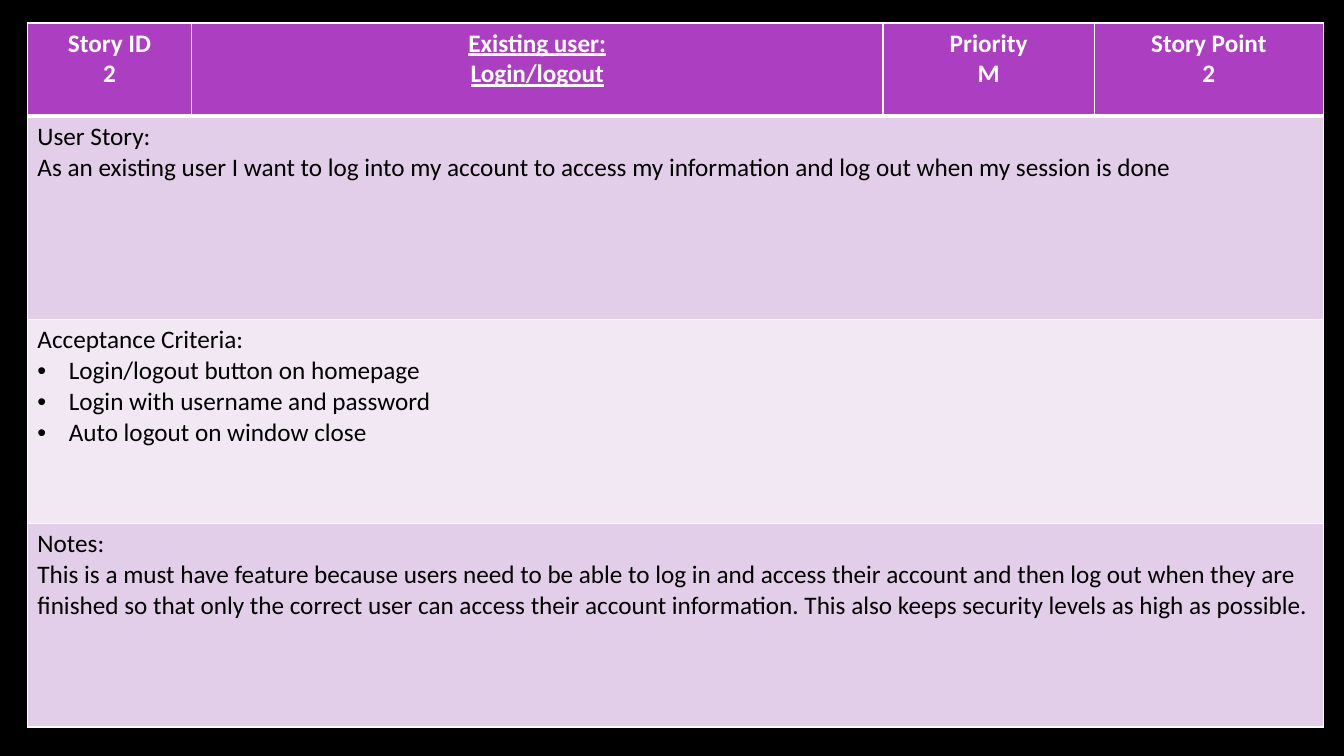
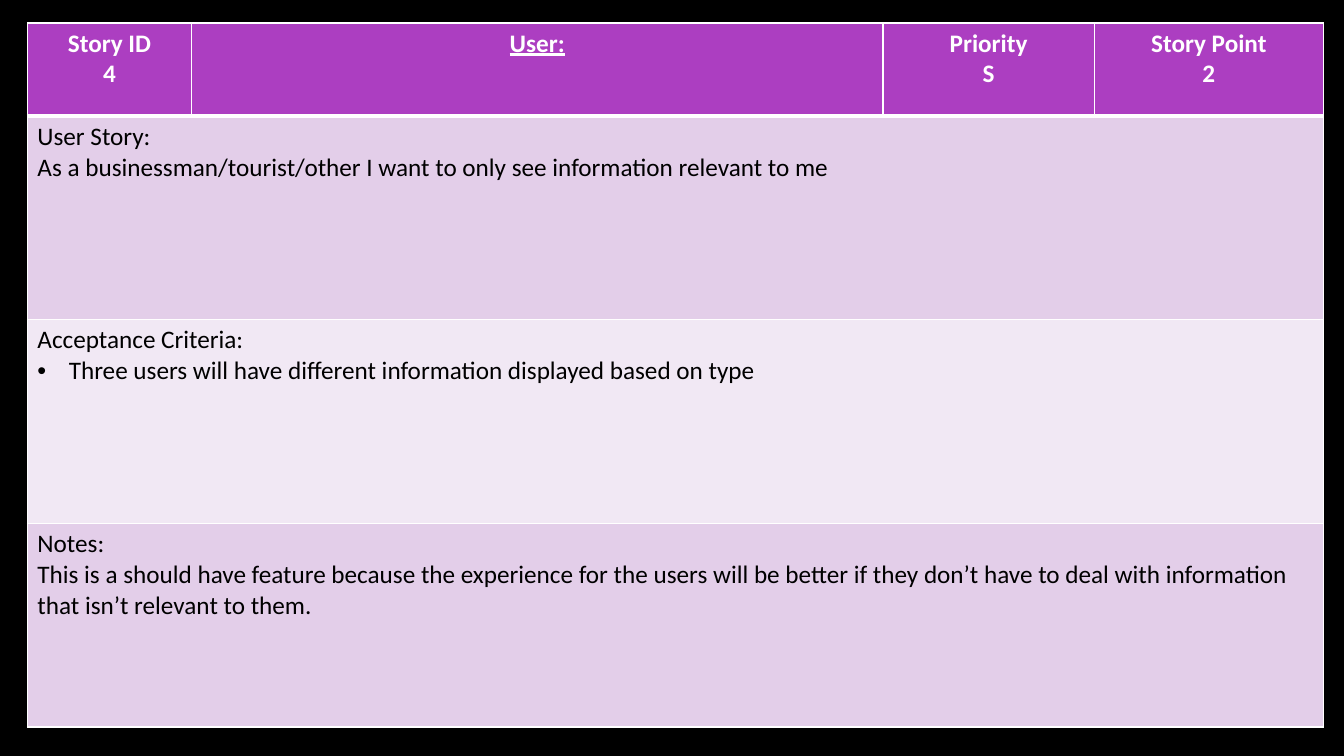
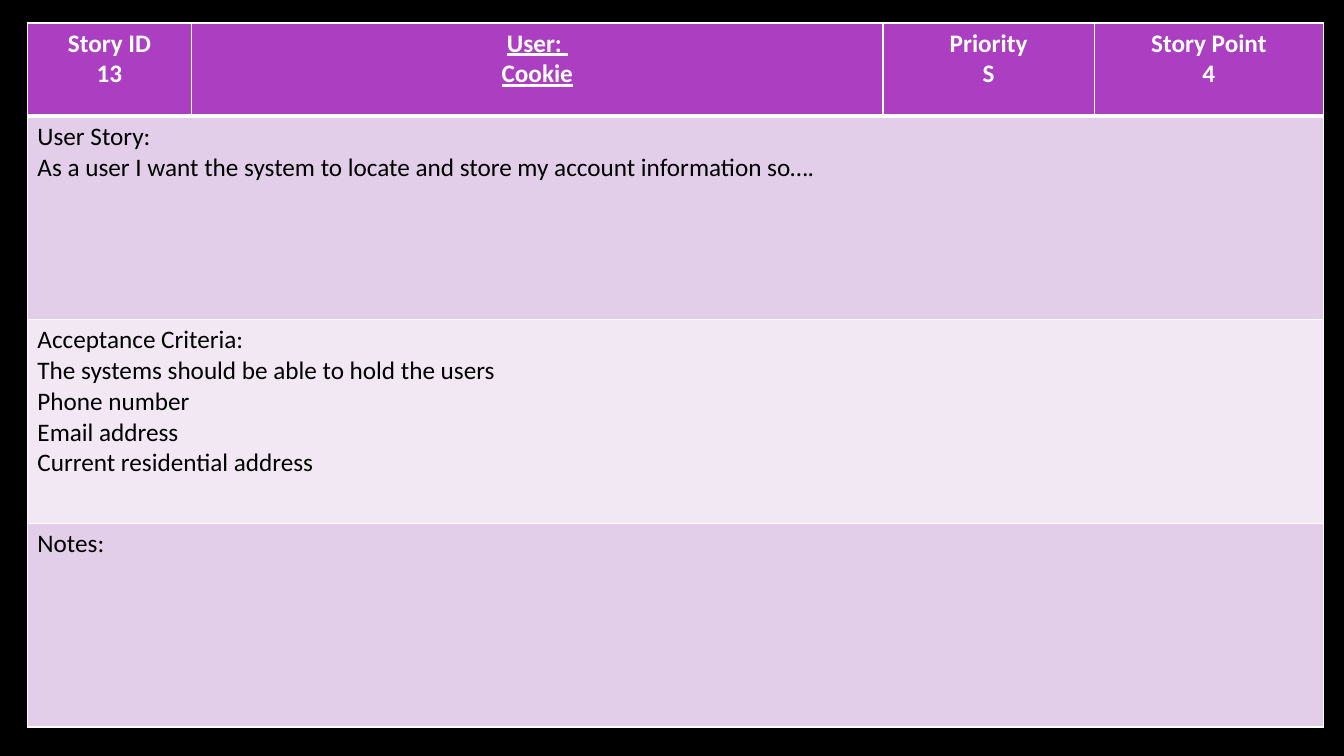
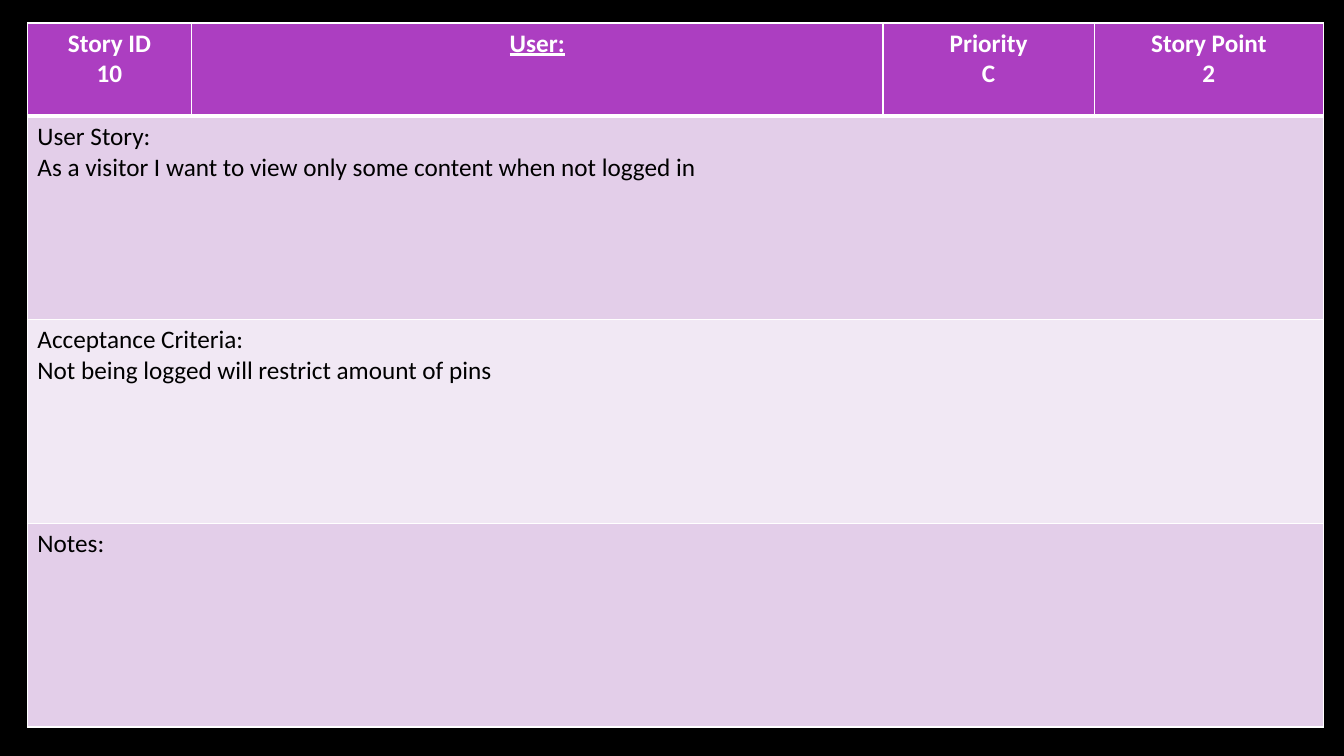
import pptx
import pptx.util
import pptx.dml.color
import pptx.enum.text
import pptx.oxml.ns
import lxml.etree

Cm = pptx.util.Cm
Pt = pptx.util.Pt
qn = pptx.oxml.ns.qn

COLOURS = {
    "background": "000000",
    "header": "AC3EC1",
    "band": "E3CEE9",
    "light_band": "F1E8F4",
    "border": "FFFFFF",
    "header_text": "FFFFFF",
    "body_text": "000000",
}
FONT = "Calibri"
FONT_SIZE = 18
COLUMN_WIDTHS = [4.14, 17.42, 5.33, 5.77]
ROW_HEIGHTS = [2.35, 5.13, 5.13, 5.13]
BAND_FILLS = ["band", "light_band", "band"]
BULLET_INDENT = 0.79

STORIES = [
    {
        "id": "2",
        "heading": ["Existing user:", "Login/logout"],
        "priority": "M",
        "points": "2",
        "story": "As an existing user I want to log into my account to access my information and log out when my session is done",
        "criteria": [
            "Login/logout button on homepage",
            "Login with username and password",
            "Auto logout on window close",
        ],
        "bulleted": True,
        "notes": [
            "This is a must have feature because users need to be able to log in and access their account and then log out when they are finished so that only the correct user can access their account information. This also keeps security levels as high as possible."
        ],
    },
    {
        "id": "4",
        "heading": ["User:"],
        "priority": "S",
        "points": "2",
        "story": "As a businessman/tourist/other I want to only see information relevant to me",
        "criteria": ["Three users will have different information displayed based on type"],
        "bulleted": True,
        "notes": [
            "This is a should have feature because the experience for the users will be better if they don’t have to deal with information that isn’t relevant to them."
        ],
    },
    {
        "id": "13",
        "heading": ["User: ", "Cookie"],
        "priority": "S",
        "points": "4",
        "story": "As a user I want the system to locate and store my account information so….",
        "criteria": [
            "The systems should be able to hold the users",
            "Phone number",
            "Email address",
            "Current residential address",
        ],
        "bulleted": False,
        "notes": [],
    },
    {
        "id": "10",
        "heading": ["User:"],
        "priority": "C",
        "points": "2",
        "story": "As a visitor I want to view only some content when not logged in",
        "criteria": ["Not being logged will restrict amount of pins"],
        "bulleted": False,
        "notes": [],
    },
]


def style_cell(cell, fill, top=1, bottom=1):
    properties = cell._tc.get_or_add_tcPr()
    for side, width in (("L", 1), ("R", 1), ("T", top), ("B", bottom)):
        line = lxml.etree.SubElement(properties, qn(f"a:ln{side}"), w=str(Pt(width)))
        solid = lxml.etree.SubElement(line, qn("a:solidFill"))
        lxml.etree.SubElement(solid, qn("a:srgbClr"), val=COLOURS["border"])
    cell.fill.solid()
    cell.fill.fore_color.rgb = pptx.dml.color.RGBColor.from_string(COLOURS[fill])


def write_lines(cell, lines, colour, bold=False, underline=False, align=None):
    cell.text_frame.text = "\n".join(lines)
    for paragraph in cell.text_frame.paragraphs:
        paragraph.alignment = align
        for run in paragraph.runs:
            run.font.name = FONT
            run.font.size = Pt(FONT_SIZE)
            run.font.bold = bold
            run.font.underline = underline
            run.font.color.rgb = pptx.dml.color.RGBColor.from_string(COLOURS[colour])


deck = pptx.Presentation()
deck.slide_width = Cm(33.87)
deck.slide_height = Cm(19.05)
backdrop = deck.slide_master.background.fill
backdrop.solid()
backdrop.fore_color.rgb = pptx.dml.color.RGBColor.from_string(COLOURS["background"])
blank_layout = deck.slide_layouts[6]

for story in STORIES:
    slide = deck.slides.add_slide(blank_layout)
    card = slide.shapes.add_table(
        len(ROW_HEIGHTS), len(COLUMN_WIDTHS), Cm(0.69), Cm(0.58),
        Cm(sum(COLUMN_WIDTHS)), Cm(sum(ROW_HEIGHTS)),
    ).table
    card.first_row = False
    card.horz_banding = False
    for column, width in zip(card.columns, COLUMN_WIDTHS):
        column.width = Cm(width)
    for row, height in zip(card.rows, ROW_HEIGHTS):
        row.height = Cm(height)

    headers = [
        ["Story ID", story["id"]],
        story["heading"],
        ["Priority", story["priority"]],
        ["Story Point", story["points"]],
    ]
    for index, lines in enumerate(headers):
        header = card.cell(0, index)
        style_cell(header, "header", bottom=3)
        write_lines(header, lines, "header_text", bold=True, underline=index == 1,
                    align=pptx.enum.text.PP_ALIGN.CENTER)

    sections = [
        ["User Story:", story["story"]],
        ["Acceptance Criteria:", *story["criteria"]],
        ["Notes:", *story["notes"]],
    ]
    for index, (lines, fill) in enumerate(zip(sections, BAND_FILLS), start=1):
        for cell in card.rows[index].cells:
            style_cell(cell, fill, top=3 if index == 1 else 1)
        section = card.cell(index, 0)
        section.merge(card.cell(index, len(COLUMN_WIDTHS) - 1))
        write_lines(section, lines, "body_text")

    if story["bulleted"]:
        for criterion in card.cell(2, 0).text_frame.paragraphs[1:]:
            properties = criterion._p.get_or_add_pPr()
            properties.set("marL", str(Cm(BULLET_INDENT)))
            properties.set("indent", str(-Cm(BULLET_INDENT)))
            lxml.etree.SubElement(properties, qn("a:buFont"), typeface="Arial")
            lxml.etree.SubElement(properties, qn("a:buChar"), char="•")

deck.save("out.pptx")
